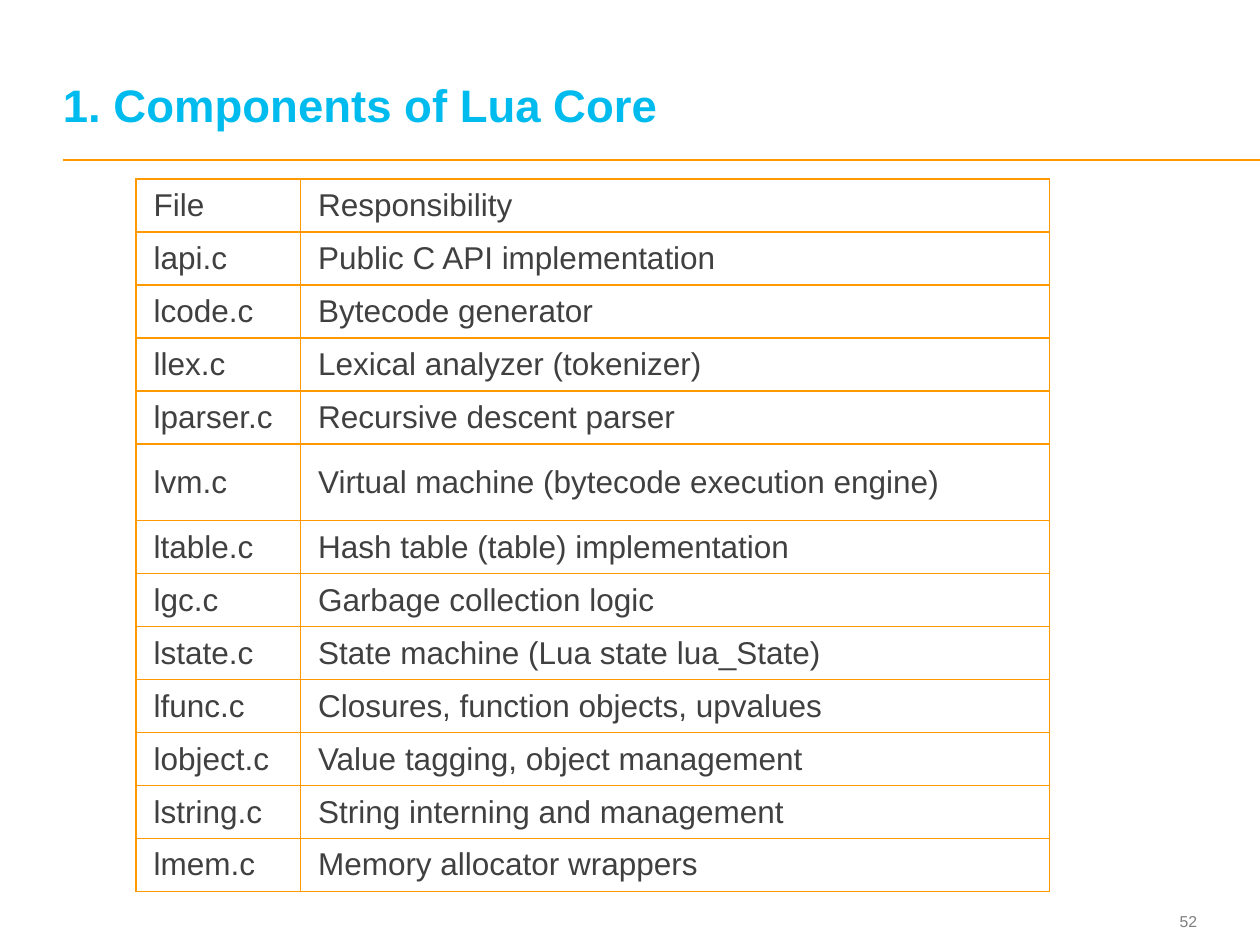
from lxml import etree
from pptx import Presentation
from pptx.dml.color import RGBColor
from pptx.enum.shapes import MSO_CONNECTOR
from pptx.enum.text import MSO_ANCHOR, PP_ALIGN
from pptx.oxml import parse_xml
from pptx.oxml.ns import nsdecls, qn
from pptx.util import Inches, Pt

STRAIGHT = MSO_CONNECTOR.STRAIGHT
MIDDLE, BOTTOM = MSO_ANCHOR.MIDDLE, MSO_ANCHOR.BOTTOM
LEFT, RIGHT = PP_ALIGN.LEFT, PP_ALIGN.RIGHT

WIDTH, HEIGHT = 10, 7.5
FONT = "Arial"
ORANGE, CYAN, DARK, GRAY = "FF9900", "00BBEE", "404040", "7F7F7F"
FILE_SHARE = 0.18
TALL_ROW, TALL_WEIGHT = 5, 1.45

ROWS = [
    ("File", "Responsibility"),
    ("lapi.c", "Public C API implementation"),
    ("lcode.c", "Bytecode generator"),
    ("llex.c", "Lexical analyzer (tokenizer)"),
    ("lparser.c", "Recursive descent parser"),
    ("lvm.c", "Virtual machine (bytecode execution engine)"),
    ("ltable.c", "Hash table (table) implementation"),
    ("lgc.c", "Garbage collection logic"),
    ("lstate.c", "State machine (Lua state lua_State)"),
    ("lfunc.c", "Closures, function objects, upvalues"),
    ("lobject.c", "Value tagging, object management"),
    ("lstring.c", "String interning and management"),
    ("lmem.c", "Memory allocator wrappers"),
]


def rgb(value):
    return RGBColor.from_string(value)


def style(p, size, color, bold=False, align=LEFT):
    p.alignment = align
    p.font.name = FONT
    p.font.size = Pt(size)
    p.font.bold = bold
    p.font.color.rgb = rgb(color)


def add_text(slide, box, text, size, color, anchor, bold=False, align=LEFT):
    tf = slide.shapes.add_textbox(*map(Inches, box)).text_frame
    tf.word_wrap = True
    tf.vertical_anchor = anchor
    tf.margin_left = tf.margin_right = tf.margin_top = tf.margin_bottom = 0
    p = tf.paragraphs[0]
    p.text = text
    style(p, size, color, bold, align)
    return p


def add_header(slide, box):
    x, y, w, h = box
    p = add_text(slide, (x, y, w, h * 0.79), "1. Components of Lua Core",
                 26, CYAN, BOTTOM, bold=True)
    p.line_spacing = Pt(26)
    rule = slide.shapes.add_connector(
        STRAIGHT, Inches(x), Inches(y + h), Inches(x + w), Inches(y + h))
    rule.line.color.rgb = rgb(ORANGE)
    rule.line.width = Pt(1)
    etree.SubElement(rule._element.spPr, qn("a:effectLst"))


def add_borders(cell, color, width):
    tcPr = cell._tc.get_or_add_tcPr()
    for side in "LRTB":
        tcPr.append(parse_xml(
            f'<a:ln{side} {nsdecls("a")} w="{Pt(width)}"><a:solidFill>'
            f'<a:srgbClr val="{color}"/></a:solidFill></a:ln{side}>'))


def fill_cell(cell, text):
    add_borders(cell, ORANGE, 1)
    cell.fill.background()
    cell.vertical_anchor = MIDDLE
    cell.margin_left = Inches(0.14)
    cell.margin_right = Inches(0.07)
    cell.margin_top = cell.margin_bottom = Inches(0.05)
    cell.text = text
    style(cell.text_frame.paragraphs[0], 18, DARK)


def add_file_table(slide, box):
    w, h = box[2:]
    table = slide.shapes.add_table(len(ROWS), 2, *map(Inches, box)).table
    table.first_row = table.horz_banding = False
    for column, share in zip(table.columns, (FILE_SHARE, 1 - FILE_SHARE)):
        column.width = Inches(w * share)
    weights = [TALL_WEIGHT if i == TALL_ROW else 1 for i in range(len(ROWS))]
    for row, weight, texts in zip(table.rows, weights, ROWS):
        row.height = Inches(h * weight / sum(weights))
        for cell, text in zip(row.cells, texts):
            fill_cell(cell, text)


def add_page_number(slide, box):
    add_text(slide, box, "52", 9, GRAY, MIDDLE, align=RIGHT)


def main():
    prs = Presentation()
    prs.slide_width, prs.slide_height = Inches(WIDTH), Inches(HEIGHT)
    slide = prs.slides.add_slide(prs.slide_layouts[6])
    margin = WIDTH * 0.05
    add_header(slide, (margin, 0.19, WIDTH - margin, 1.08))
    add_page_number(slide, (WIDTH - margin - 0.59, 7.18, 0.59, 0.27))
    add_file_table(slide, (1.08, 1.42, 7.25, 5.66))
    prs.save("out.pptx")


if __name__ == "__main__":
    main()
